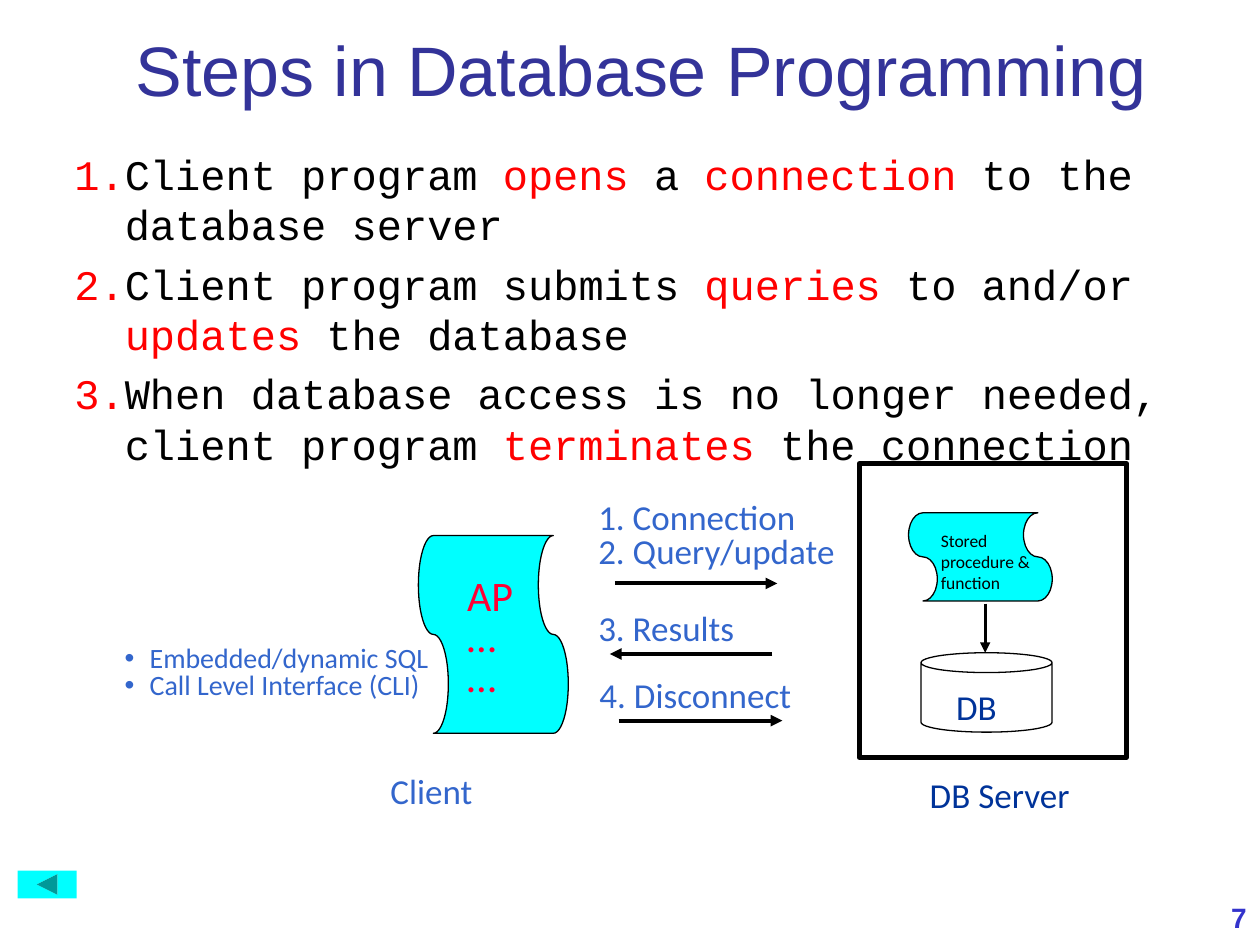
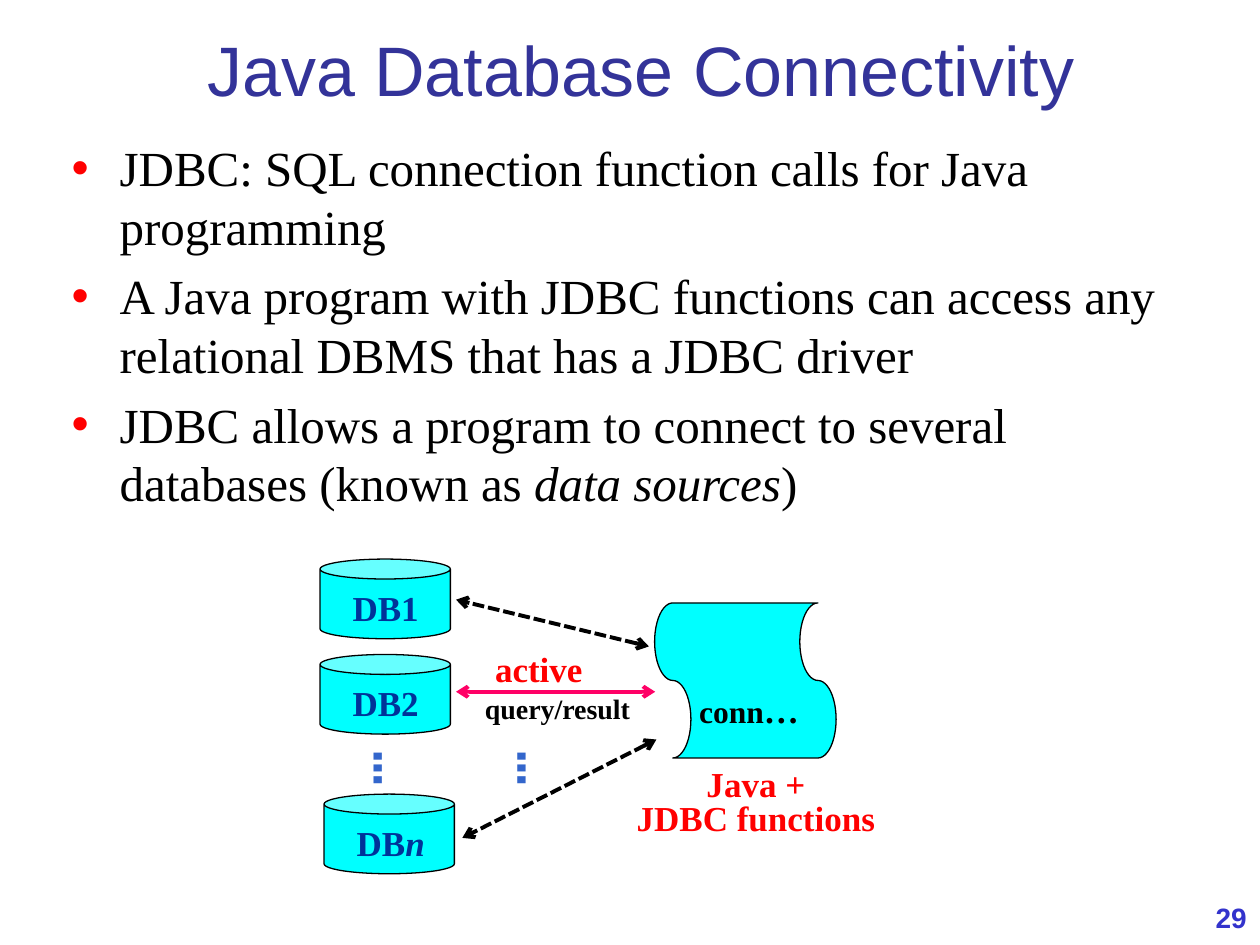
"""Builds two slides on database programming and JDBC."""
from lxml import etree
from pptx import Presentation
from pptx import util as u
from pptx.dml import color
from pptx.enum import dml, shapes, text
from pptx.oxml import ns

BLACK, RED, CYAN = "000000", "FF0000", "00FFFF"
NAVY, BLUE, TITLE, NUMBER = "003399", "3366CC", "333399", "3333CC"
ACCENT, PINK = "FF0033", "FF0066"
SANS, SERIF, MONO, HEAD = "Calibri", "Times New Roman", "Courier New", "Arial"
CENTER, RIGHT = text.PP_ALIGN.CENTER, text.PP_ALIGN.RIGHT
TAPE = shapes.MSO_SHAPE.FLOWCHART_PUNCHED_TAPE
CAN = shapes.MSO_SHAPE.CAN


def rgb(value):
    return color.RGBColor.from_string(value)


def child(parent, tag, **attrs):
    return etree.SubElement(parent, ns.qn(tag), attrs)


def bullet(p, kind, indent, hue, font):
    pPr = p._p.get_or_add_pPr()
    pPr.set("marL", str(u.Pt(indent)))
    pPr.set("indent", str(-u.Pt(indent)))
    child(child(pPr, "a:buClr"), "a:srgbClr", val=hue)
    child(pPr, "a:buFont", typeface=font)
    if kind == "•":
        child(pPr, "a:buChar", char=kind)
    else:
        child(pPr, "a:buAutoNum", type=kind)


def write(tf, paragraphs, size=20, font=SANS, hue=BLACK, bold=False, align=None,
          leading=None, gap=0, mark=None, indent=0, mark_hue=None):
    tf.word_wrap = True
    tf.auto_size = text.MSO_AUTO_SIZE.NONE
    for i, runs in enumerate(paragraphs):
        p = tf.add_paragraph() if i else tf.paragraphs[0]
        if mark:
            bullet(p, mark, indent, mark_hue or hue, HEAD if mark == "•" else font)
        p.alignment = align
        p.line_spacing = leading
        p.space_before = u.Pt(gap if i else 0)
        for run in [runs] if isinstance(runs, str) else runs:
            words, special = (run, {}) if isinstance(run, str) else run
            r = p.add_run()
            r.text = words
            r.font.name = font
            r.font.size = u.Pt(special.get("size", size))
            r.font.bold = bold
            r.font.italic = special.get("italic", False)
            r.font.color.rgb = rgb(special.get("hue", hue))


class Deck:
    def __init__(self):
        self.prs = Presentation()
        self.prs.slide_width, self.prs.slide_height = u.Pt(720), u.Pt(540)
        self.s = None

    def slide(self, title, number):
        self.s = self.prs.slides.add_slide(self.prs.slide_layouts[1])
        sp = self.s.shapes.title
        self.place(sp, 35.3, 0, 661.7, 78.5)
        sp.text_frame.vertical_anchor = text.MSO_ANCHOR.MIDDLE
        write(sp.text_frame, [title], size=40, font=HEAD, hue=TITLE, align=CENTER)
        sp = self.label((636, 509, 83.5, 30.2), [number], size=16, font=HEAD,
                        hue=NUMBER, bold=True, align=RIGHT)
        sp.text_frame.vertical_anchor = text.MSO_ANCHOR.MIDDLE

    def place(self, sp, x, y, w, h):
        sp.left, sp.top, sp.width, sp.height = map(u.Pt, (x, y, w, h))

    def body(self, box, paragraphs, gap, **fmt):
        sp = self.s.placeholders[1]
        self.place(sp, *box)
        sp.text_frame.margin_top = u.Pt(3.6 + gap)
        write(sp.text_frame, paragraphs, gap=gap, mark_hue=RED, **fmt)

    def label(self, box, paragraphs, vertical=False, **fmt):
        sp = self.s.shapes.add_textbox(*map(u.Pt, box))
        write(sp.text_frame, paragraphs, **fmt)
        if vertical:
            sp.text_frame._txBody.bodyPr.set("vert", "eaVert")
        return sp

    def shape(self, kind, box, fill=None, line=0.75, turn=0):
        sp = self.s.shapes.add_shape(kind, *map(u.Pt, box))
        sp.shadow.inherit = False
        sp.rotation = turn
        if fill:
            sp.fill.solid()
            sp.fill.fore_color.rgb = rgb(fill)
        else:
            sp.fill.background()
        if line:
            sp.line.color.rgb = rgb(BLACK)
            sp.line.width = u.Pt(line)
        else:
            sp.line.fill.background()

    def arrow(self, start, end, head="triangle", hue=BLACK, width=2.25,
              dashed=False, both=False):
        cx = self.s.shapes.add_connector(shapes.MSO_CONNECTOR.STRAIGHT,
                                         *map(u.Pt, start + end))
        cx.line.color.rgb = rgb(hue)
        cx.line.width = u.Pt(width)
        if dashed:
            cx.line.dash_style = dml.MSO_LINE.SQUARE_DOT
        ln = cx.line._get_or_add_ln()
        if both:
            child(ln, "a:headEnd", type=head)
        child(ln, "a:tailEnd", type=head)
        child(cx._element.spPr, "a:effectLst")


def steps_slide(d):
    d.slide("Steps in Database Programming", "7")
    red = {"hue": RED}
    d.body((35.3, 76.3, 661.7, 172.1), [
        ["Client program ", ("opens", red), " a ", ("connection", red),
         " to the database server"],
        ["Client program submits ", ("queries", red), " to and/or ",
         ("updates", red), " the database"],
        ["When database access is no longer needed, client program ",
         ("terminates", red), " the connection"],
    ], gap=5, size=24, font=MONO, mark="arabicPeriod", indent=28.8)

    d.label((524.2, 438.5, 100, 31), ["DB Server"], hue=NAVY)
    d.shape(CAN, (526.3, 373, 74.9, 45.4))
    d.label((539.3, 388.1, 55.4, 31), ["DB"], hue=NAVY)
    d.shape(TAPE, (535, 277.2, 50.4, 82.1), CYAN, turn=90)
    d.label((530.6, 299.5, 67, 43.2), ["Stored procedure & function"], size=10)
    d.arrow((563, 344.9), (563, 373), width=1.5)
    d.shape(shapes.MSO_SHAPE.RECTANGLE, (491, 265, 152.6, 167.8), line=3)

    d.shape(TAPE, (225.4, 319.7, 113, 85.7), CYAN, turn=90)
    d.label((259.9, 327.6, 69.1, 77), ["AP", "…", "…"], size=24, hue=ACCENT, leading=0.8)
    d.label((216, 440.6, 82.8, 26.6), ["Client"], hue=BLUE, leading=0.8)
    d.label((64.1, 366.5, 197.3, 38.9),
            ["Embedded/dynamic SQL", "Call Level Interface (CLI)"],
            size=16, hue=BLUE, leading=0.8, mark="•", indent=14.4)

    for x, y, h, lines in ((334.8, 284.4, 46, ["1. Connection", "2. Query/update"]),
                           (334.8, 347.8, 26.6, ["3. Results"]),
                           (335.5, 385.9, 26.6, ["4. Disconnect"])):
        d.label((x, y, 153.4, h), lines, hue=BLUE, leading=0.8)
    for start, end, y in ((351.4, 444.2, 333.4), (441.4, 348.5, 373.7),
                          (353.5, 447.1, 411.8)):
        d.arrow((start, y), (end, y))
    d.shape(shapes.MSO_SHAPE.ACTION_BUTTON_BACK_OR_PREVIOUS,
            (10.1, 497.5, 33.8, 15.8), CYAN, line=0)


def jdbc_slide(d):
    d.slide("Java Database Connectivity", "29")
    italic = {"italic": True}
    d.body((33.8, 69.1, 661.7, 229), [
        "JDBC: SQL connection function calls for Java programming",
        "A Java program with JDBC functions can access any relational DBMS "
        "that has a JDBC driver",
        ["JDBC allows a program to connect to several databases (known as ",
         ("data sources", italic), ")"],
    ], gap=6, size=28, font=SERIF, mark="•", indent=27.4)

    serif = {"font": SERIF, "bold": True}
    for x, y, name in ((182.9, 319.5, "DB1"), (182.9, 374, "DB2"),
                       (185.2, 453.8, ["DB", ("n", italic)])):
        d.shape(CAN, (x, y, 74.5, 45.5), CYAN)
        d.label((x + 11.5, y + 12, 53.3, 31.7), [name], hue=NAVY, **serif)
    for x in (195.8, 277.9):
        d.label((x, 422.4, 53.3, 28.1), ["…"], vertical=True, size=32, font=MONO,
                hue=BLUE, bold=True)

    d.shape(TAPE, (381.6, 337, 88.6, 103.7), CYAN, turn=90)
    d.label((392.4, 394.6, 95, 26.6), [["conn", ("…", {"size": 20})]],
            size=18, leading=0.8, **serif)
    d.label((342, 437, 180, 46), ["Java +", "JDBC functions"], hue=RED,
            align=CENTER, leading=0.8, **serif)

    for start, end in (((370.8, 369.4), (260.6, 342.7)),
                       ((375.1, 422.6), (264.2, 478.8))):
        d.arrow(start, end, "arrow", dashed=True, both=True)
    d.arrow((374.4, 395.3), (260.6, 395.3), "arrow", PINK, both=True)
    d.label((275.8, 366.5, 72, 31.7), ["active"], hue=RED, **serif)
    d.label((270, 391.7, 105.8, 26.6), ["query/result"], size=16, **serif)


def main():
    d = Deck()
    steps_slide(d)
    jdbc_slide(d)
    d.prs.save("out.pptx")


if __name__ == "__main__":
    main()
